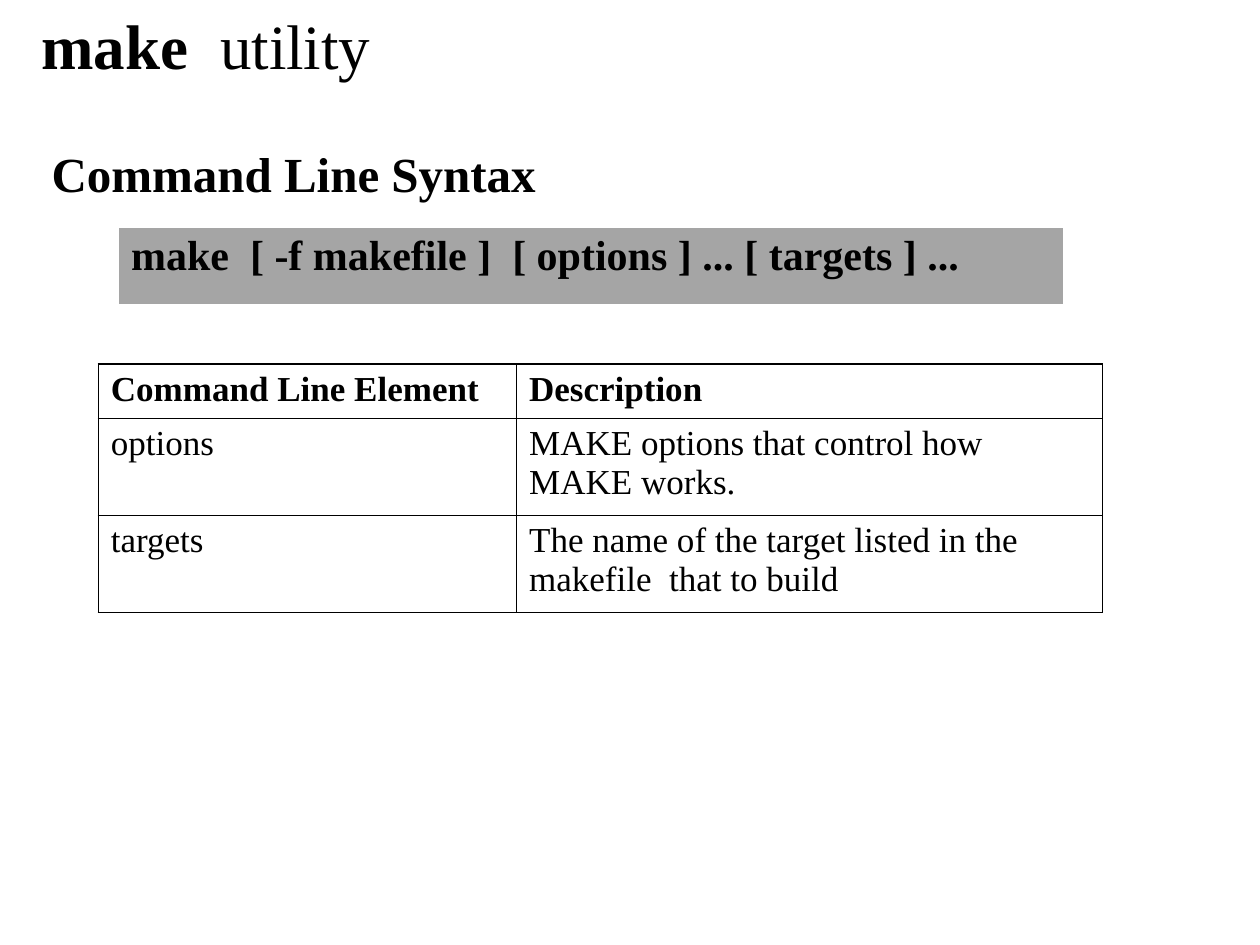
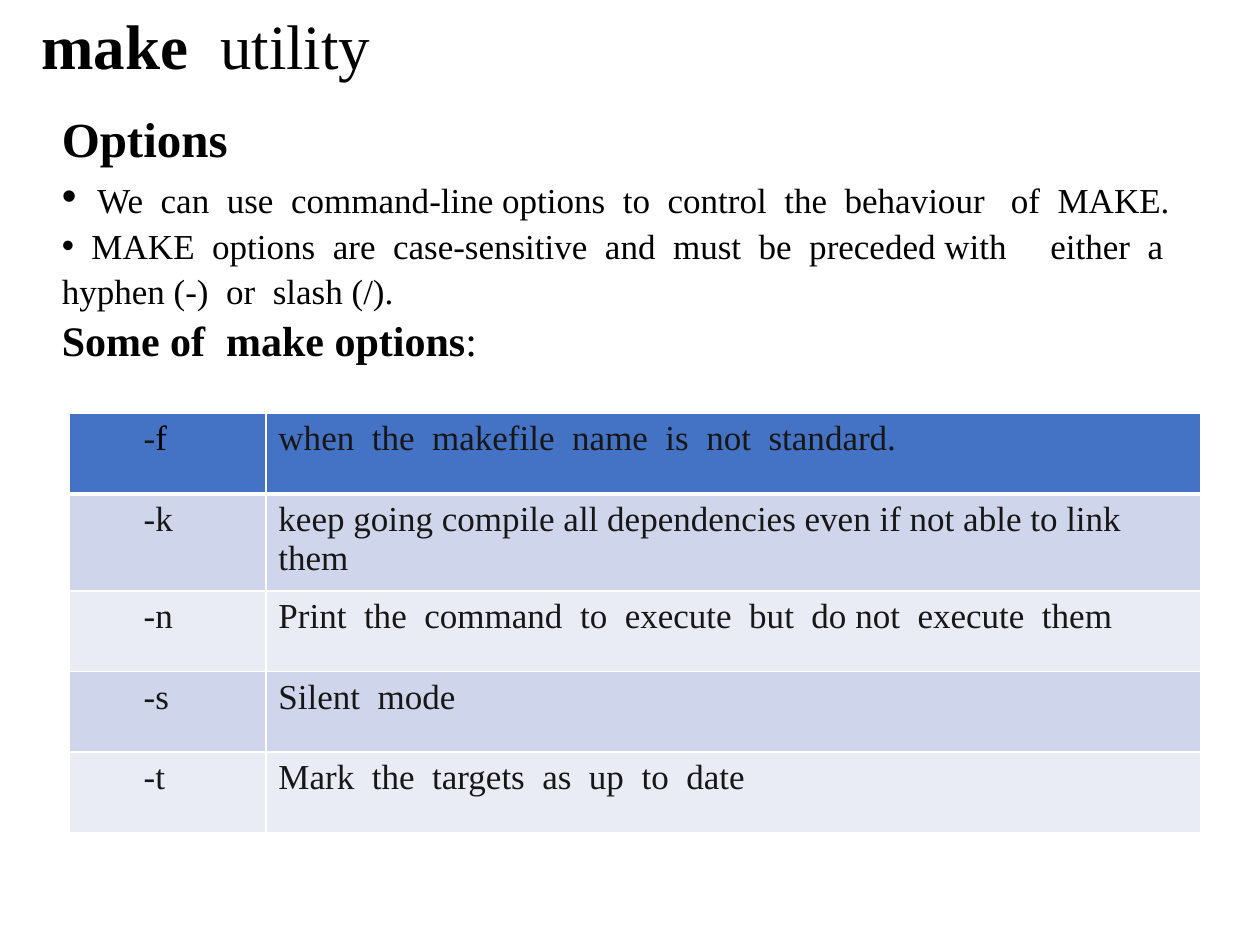
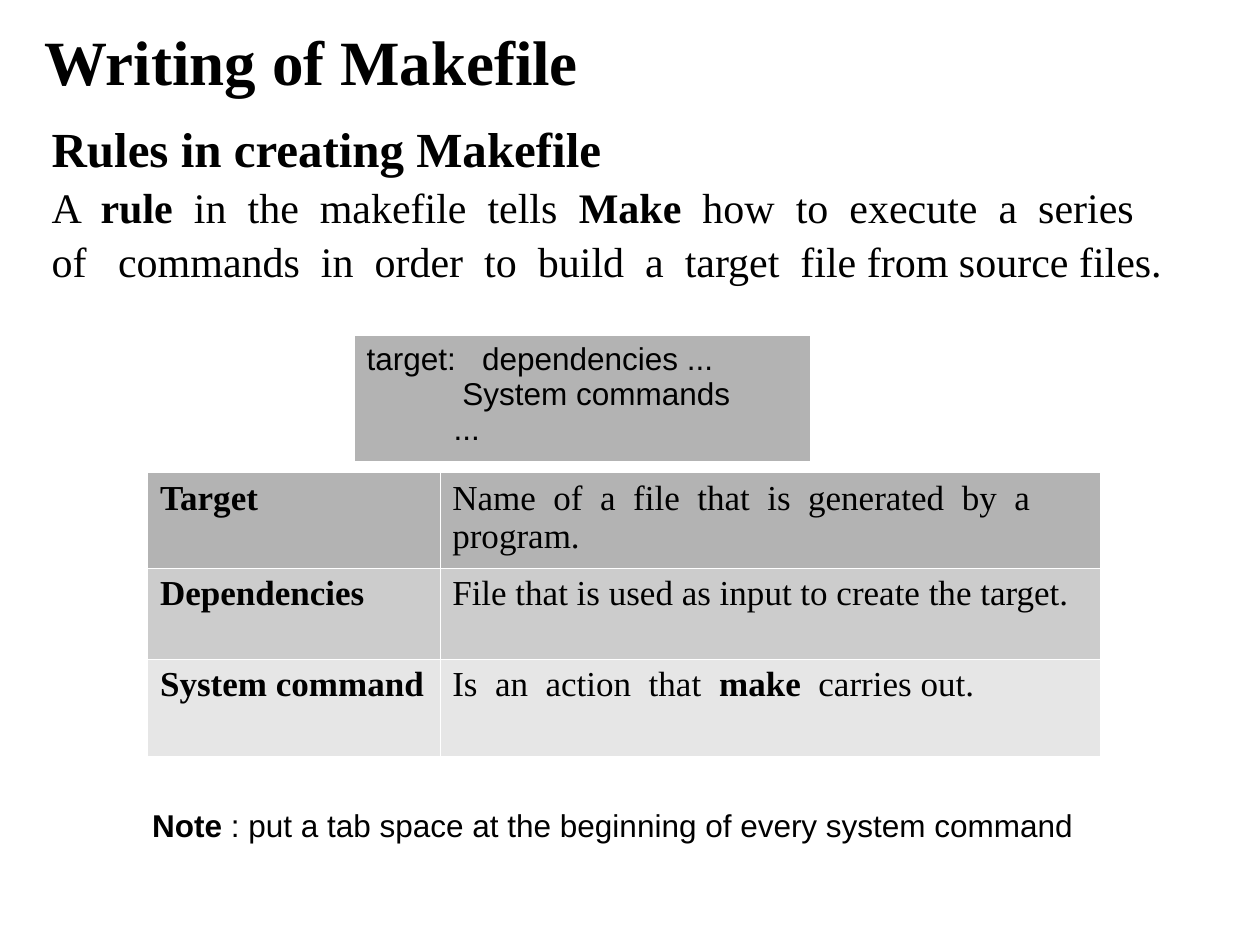
import dataclasses
import typing

import lxml.etree
import pptx
import pptx.dml.color
import pptx.enum.text
import pptx.oxml.ns
import pptx.util


# Shared look
@dataclasses.dataclass(frozen=True)
class Theme:
    serif: str = "Times New Roman"
    sans: str = "Arial"
    ink: str = "000000"
    soft_ink: str = "181717"
    white: str = "FFFFFF"
    bar: str = "A5A5A5"
    greys: tuple = ("B3B3B3", "CCCCCC", "E6E6E6")
    blues: tuple = ("4472C4", "CFD5EA", "E9EBF5", "CFD5EA", "E9EBF5")
    title: int = 36
    heading: int = 28
    lead: int = 24
    text: int = 20
    small: int = 18
    line_spacing: float = 1.07
    thin: float = 1
    thick: float = 3
    hairline: float = 0.06


THEME = Theme()


@dataclasses.dataclass
class Run:
    text: str
    bold: typing.Optional[bool] = None
    size: typing.Optional[int] = None
    color: typing.Optional[str] = None


@dataclasses.dataclass
class Para:
    runs: typing.Any
    size: int = THEME.text
    bold: bool = False
    color: str = THEME.ink
    face: str = THEME.serif
    bullet: bool = False
    indent: float = 0
    spacing: float = 1


# Grid of 100 columns by 75 rows
COLUMNS, ROWS = 100, 75


def grid(count):
    return pptx.util.Inches(10 * count / COLUMNS)


def place(shape, at):
    shape.left, shape.top, shape.width, shape.height = map(grid, at)


# Text
def style(font, face, size, bold, color):
    font.name = face
    font.size = pptx.util.Pt(size)
    font.bold = bold
    font.color.rgb = pptx.dml.color.RGBColor.from_string(color)


def write_paragraph(paragraph, para):
    runs = [Run(para.runs)] if isinstance(para.runs, str) else para.runs
    style(paragraph.font, para.face, para.size, para.bold, para.color)
    for run in runs:
        piece = paragraph.add_run()
        piece.text = run.text
        style(piece.font, para.face, run.size or para.size,
              para.bold if run.bold is None else run.bold,
              run.color or para.color)
    paragraph.alignment = pptx.enum.text.PP_ALIGN.LEFT
    paragraph.line_spacing = para.spacing
    paragraph.space_before = pptx.util.Pt(0)

    properties = paragraph._p.get_or_add_pPr()
    properties.set("marL", str(grid(para.indent)))
    properties.set("indent", "0")
    bullet = lxml.etree.Element(
        pptx.oxml.ns.qn("a:buChar" if para.bullet else "a:buNone"))
    if para.bullet:
        bullet.set("char", "•")
    properties.find(pptx.oxml.ns.qn("a:defRPr")).addprevious(bullet)


def write(frame, paras):
    for index, para in enumerate(paras):
        paragraph = frame.add_paragraph() if index else frame.paragraphs[0]
        write_paragraph(paragraph, para)


def fill_frame(shape, at, paras):
    place(shape, at)
    frame = shape.text_frame
    frame.word_wrap = True
    frame.auto_size = pptx.enum.text.MSO_AUTO_SIZE.NONE
    frame.vertical_anchor = pptx.enum.text.MSO_ANCHOR.TOP
    write(frame, paras)
    return frame


def add_page(deck, title, title_at, body, body_at):
    slide = deck.slides.add_slide(deck.slide_layouts[1])
    fill_frame(slide.shapes.title, title_at,
               [Para(title, THEME.title, bold=True)])
    fill_frame(slide.placeholders[1], body_at, body)
    return slide


# Tables
def set_borders(cell, color, width, bottom):
    properties = cell._tc.get_or_add_tcPr()
    for side in "LRTB":
        line = lxml.etree.SubElement(
            properties, pptx.oxml.ns.qn("a:ln" + side),
            w=str(pptx.util.Pt(bottom if side == "B" else width)))
        solid = lxml.etree.SubElement(line, pptx.oxml.ns.qn("a:solidFill"))
        lxml.etree.SubElement(solid, pptx.oxml.ns.qn("a:srgbClr"), val=color)


def add_grid_table(slide, corner, widths, heights, rows, fills=None,
                   border=THEME.white, width=THEME.thin, header_bottom=None):
    """Each cell is a list of paragraphs; fills hold one colour per row."""
    table = slide.shapes.add_table(
        len(rows), len(widths), *map(grid, corner),
        grid(sum(widths)), grid(sum(heights))).table
    table.first_row = table.horz_banding = False
    for column, share in zip(table.columns, widths):
        column.width = grid(share)
    for r, (height, cells) in enumerate(zip(heights, rows)):
        table.rows[r].height = grid(height)
        for c, paras in enumerate(cells):
            cell = table.cell(r, c)
            write(cell.text_frame, paras)
            bottom = header_bottom if header_bottom and r == 0 else width
            set_borders(cell, border, width, bottom)
            if fills:
                cell.fill.solid()
                cell.fill.fore_color.rgb = (
                    pptx.dml.color.RGBColor.from_string(fills[r]))
            else:
                cell.fill.background()
    return table


# Slides
UTILITY_TITLE = [Run("make"), Run("  utility", bold=False)]
UTILITY_TITLE_AT = (2.3, 0, 43.8, 10.1)


def add_syntax(deck):
    slide = add_page(
        deck, UTILITY_TITLE, UTILITY_TITLE_AT,
        [Para("Command Line Syntax", THEME.heading, bold=True)],
        (3.1, 10.9, 89.8, 15.1))
    command = "make  [ -f makefile ]  [ options ] ... [ targets ] ..."
    add_grid_table(slide, (9.4, 18), [75], [6.3],
                   [[[Para(command, THEME.lead, bold=True)]]],
                   [THEME.bar], header_bottom=THEME.thick)
    elements = [
        ("Command Line Element", "Description"),
        ("options", "MAKE options that control how MAKE works."),
        ("targets",
         "The name of the target listed in the makefile  that to build"),
    ]
    add_grid_table(
        slide, (7.8, 28.9), [33.2, 46.5], [4.3, 7.7, 7.7],
        [[[Para(text, bold=r == 0)] for text in row]
         for r, row in enumerate(elements)],
        border=THEME.ink)


def add_options(deck):
    spacing = THEME.line_spacing
    slide = add_page(deck, UTILITY_TITLE, UTILITY_TITLE_AT, [
        Para("Options", THEME.heading, bold=True, spacing=spacing),
        Para([Run("  ", size=THEME.lead),
              Run("We  can  use  command-line options  to  control  the  "
                  "behaviour   of  MAKE.")], bullet=True, spacing=spacing),
        Para("  MAKE  options  are  case-sensitive  and  must  be  preceded "
             "with     either  a  hyphen (-)  or  slash (/).",
             bullet=True, spacing=spacing),
        Para([Run("Some of  make options", bold=True), Run(":")],
             THEME.lead, spacing=spacing),
    ], (3.9, 7.8, 90.6, 20.5))
    options = [
        ([Run("-"), Run("f", color=THEME.ink)],
         "when  the  makefile  name  is  not  standard."),
        ("-k", "keep going compile all dependencies even if not able to "
               "link them"),
        ("-n", "Print  the  command  to  execute  but  do not  execute  them"),
        ("-s", "Silent  mode"),
        ("-t", "Mark  the  targets  as  up  to  date"),
    ]
    add_grid_table(
        slide, (5.5, 32.8), [15.6, 74.2], [6.4, 7.7, 6.4, 6.4, 6.4],
        [[[Para(flag, color=THEME.soft_ink, indent=4.9)],
          [Para(meaning, color=THEME.soft_ink)]] for flag, meaning in options],
        THEME.blues, header_bottom=THEME.thick)


def add_rules(deck):
    slide = add_page(
        deck, "Writing of Makefile", (2.5, 1.3, 84.2, 5), [
            Para("Rules in creating Makefile", THEME.heading, bold=True,
                 spacing=THEME.line_spacing),
            Para([Run("A "), Run(" rule  ", bold=True),
                  Run("in  the  makefile  tells  "), Run("Make", bold=True),
                  Run("  how  to  execute  a  series  of   commands  in  "
                      "order  to  build  a  target  file from source files.")],
                 THEME.lead, spacing=THEME.line_spacing),
        ], (3.1, 8.6, 91.3, 16.3))

    rule_lines = [("target:   dependencies ...", 0),
                  ("System commands", 7.6), ("...", 6.9)]
    add_grid_table(
        slide, (28.1, 26.6), [36.2], [10],
        [[[Para(text, THEME.small, face=THEME.sans, indent=indent)
           for text, indent in rule_lines]]],
        THEME.greys, width=THEME.hairline)

    parts = [
        ("Target", "Name  of  a  file  that  is  generated  by  a  program."),
        ("Dependencies", "File that is used as input to create the target."),
        ("System command", [Run("Is  an  action  that  "),
                            Run("make ", bold=True), Run(" carries out.")]),
    ]
    add_grid_table(
        slide, (11.7, 37.5), [23.2, 52.4], [7.6, 7.2, 7.7],
        [[[Para(part, bold=True)], [Para(meaning)]]
         for part, meaning in parts],
        THEME.greys, width=THEME.hairline)

    # Closing note, set low in its box
    note_at = (5.5, 60.6, 86.6, 6.8)
    note = slide.shapes.add_textbox(*map(grid, note_at))
    frame = fill_frame(note, note_at, [
        Para([Run("Note ", bold=True),
              Run(": put a tab space at the beginning of every system "
                  "command")], THEME.small, face=THEME.sans, indent=5.6)])
    frame.margin_top = grid(3.4)


def main():
    deck = pptx.Presentation()
    deck.slide_width, deck.slide_height = grid(COLUMNS), grid(ROWS)
    add_syntax(deck)
    add_options(deck)
    add_rules(deck)
    deck.save("out.pptx")


if __name__ == "__main__":
    main()
